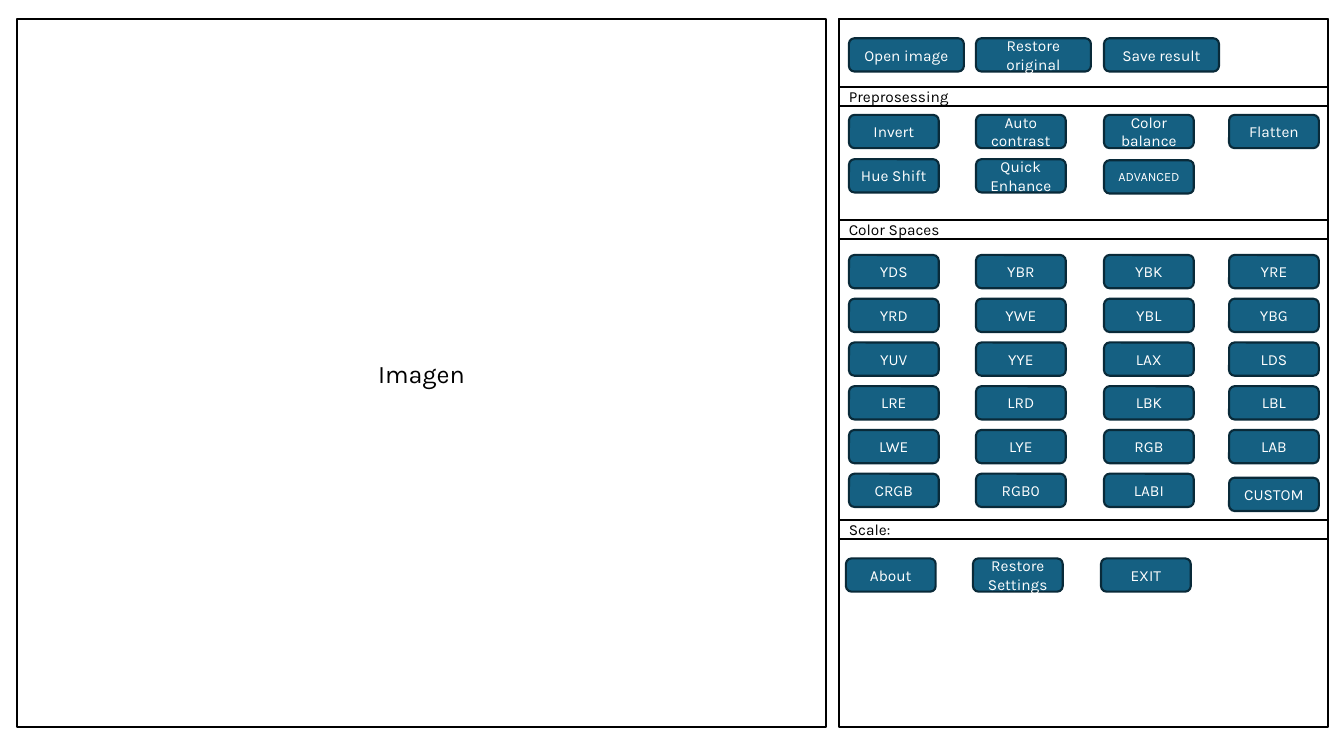
from pptx import Presentation
from pptx import util as u
from pptx.dml.color import RGBColor
from pptx.enum import shapes, text

COLUMNS = [8.42, 9.68, 10.95, 12.19]
PANEL_LEFT, PANEL_WIDTH = 8.32, 4.85
HEADING_HEIGHT = 0.19
FIRST_ROW, LAST_ROW = 2.53, 4.7

COLOR_SPACES = [
    ["YDS", "YBR", "YBK", "YRE"],
    ["YRD", "YWE", "YBL", "YBG"],
    ["YUV", "YYE", "LAX", "LDS"],
    ["LRE", "LRD", "LBK", "LBL"],
    ["LWE", "LYE", "RGB", "LAB"],
    ["CRGB", "RGB0", "LABI"],
]
ROW_PITCH = (LAST_ROW - FIRST_ROW) / (len(COLOR_SPACES) - 1)


def color(value):
    return RGBColor.from_string(value)


class Mockup:
    font = "Karla"
    ink, paper = "000000", "FFFFFF"
    button_fill, button_line = "156082", "092A39"

    def __init__(self, slide):
        self.slide = slide

    def box(self, kind, left, top, width, height, fill, line):
        box = self.slide.shapes.add_shape(
            kind, u.Inches(left), u.Inches(top), u.Inches(width), u.Inches(height))
        box.shadow.inherit = False
        box.fill.solid()
        box.fill.fore_color.rgb = color(fill)
        box.line.color.rgb = color(line)
        box.line.width = u.Pt(1.5)
        return box

    def label(self, box, words, size, ink, align):
        frame = box.text_frame
        frame.word_wrap = True
        frame.vertical_anchor = text.MSO_ANCHOR.MIDDLE
        para = frame.paragraphs[0]
        para.alignment = align
        span = para.add_run()
        span.text = words
        span.font.name = self.font
        span.font.size = u.Pt(size)
        span.font.color.rgb = color(ink)

    def panel(self, left, top, width, height):
        return self.box(shapes.MSO_SHAPE.RECTANGLE, left, top, width, height,
                        self.paper, self.ink)

    def canvas(self, words, left, top, width, height):
        box = self.panel(left, top, width, height)
        self.label(box, words, 18, self.ink, text.PP_ALIGN.CENTER)

    def heading(self, words, top):
        box = self.panel(PANEL_LEFT, top, PANEL_WIDTH, HEADING_HEIGHT)
        self.label(box, words, 11, self.ink, text.PP_ALIGN.LEFT)

    def button(self, words, left, top, width=0.89, size=11):
        box = self.box(shapes.MSO_SHAPE.ROUNDED_RECTANGLE, left, top, width, 0.33,
                       self.button_fill, self.button_line)
        self.label(box, words, size, self.paper, text.PP_ALIGN.CENTER)

    def button_row(self, labels, top, width=0.89, shift=0):
        for words, left in zip(labels, COLUMNS):
            self.button(words, left + shift, top, width)


def main():
    deck = Presentation()
    deck.slide_width, deck.slide_height = u.Inches(13.33), u.Inches(7.5)
    mockup = Mockup(deck.slides.add_slide(deck.slide_layouts[6]))

    mockup.canvas("Imagen", 0.17, 0.19, 8.02, 7.02)
    for top, height in [(0.19, 7.02), (0.19, 0.67), (1.05, 1.14)]:
        mockup.panel(PANEL_LEFT, top, PANEL_WIDTH, height)
    for words, top in [("Preprosessing", 0.86), ("Color Spaces", 2.18), ("Scale:", 5.16)]:
        mockup.heading(words, top)

    mockup.button_row(["Open image", "Restore original", "Save result"], 0.38, width=1.14)
    mockup.button_row(["Invert", "Auto contrast", "Color balance", "Flatten"], 1.14)
    mockup.button_row(["Hue Shift", "Quick Enhance"], 1.58)
    mockup.button("ADVANCED", COLUMNS[2], 1.59, size=9)
    for row, labels in enumerate(COLOR_SPACES):
        mockup.button_row(labels, FIRST_ROW + row * ROW_PITCH)
    mockup.button("CUSTOM", COLUMNS[3], 4.74)
    mockup.button_row(["About", "Restore Settings", "EXIT"], 5.54, shift=-0.03)

    deck.save("out.pptx")


if __name__ == "__main__":
    main()
